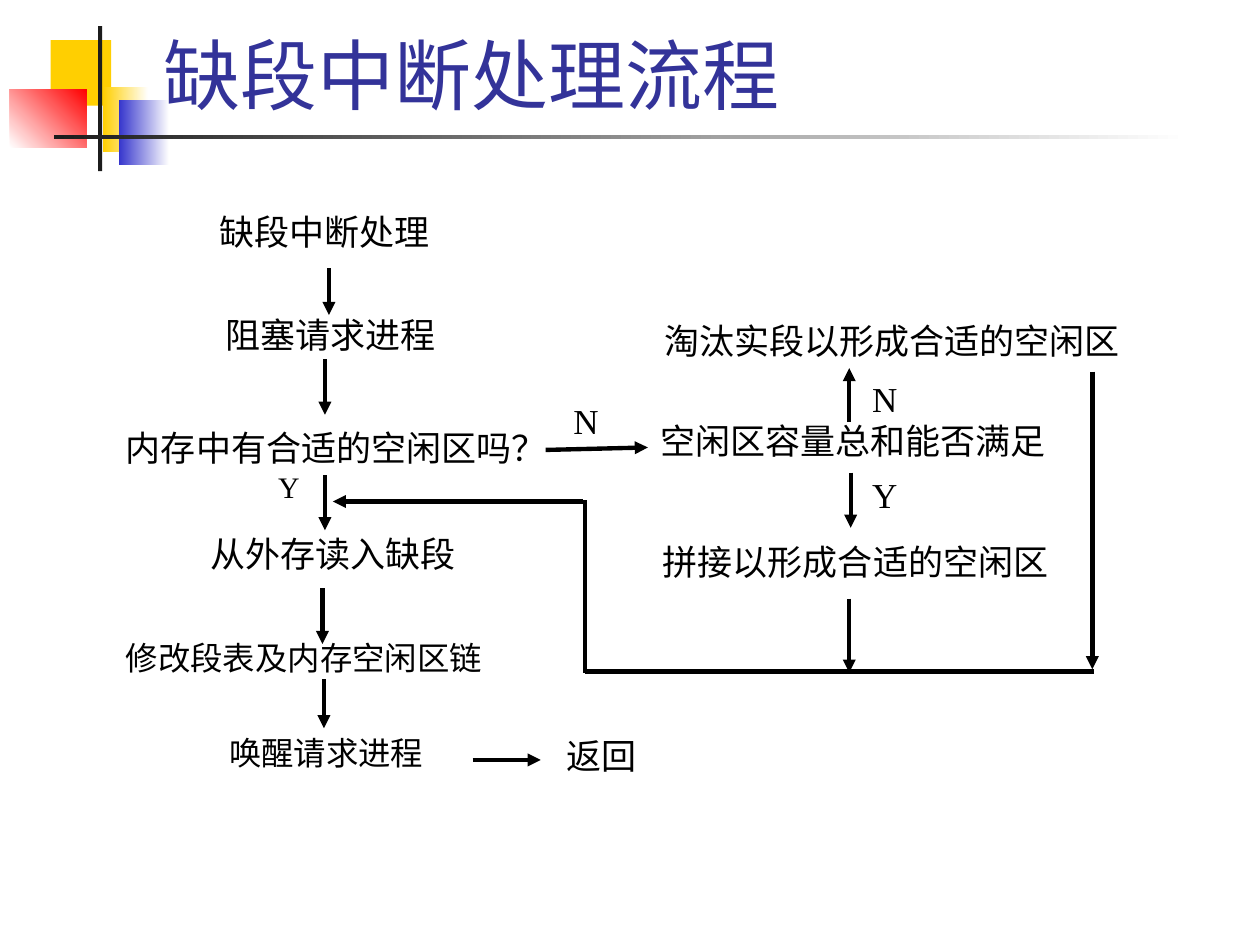
"""Build the slide showing how a missing-segment interrupt is handled."""
from dataclasses import dataclass

from pptx import Presentation
from pptx import util as u
from pptx.dml.color import RGBColor
from pptx.enum import shapes, text
from pptx.oxml import ns
from pptx.slide import Slide
from lxml import etree

BLACK = RGBColor(0x00, 0x00, 0x00)
WHITE = RGBColor(0xFF, 0xFF, 0xFF)
CHARCOAL = RGBColor(0x1C, 0x1C, 0x1C)
GOLD = RGBColor(0xFF, 0xCF, 0x01)
BLUE = RGBColor(0x33, 0x33, 0xCC)
RED = RGBColor(0xFF, 0x00, 0x00)
INDIGO = RGBColor(0x33, 0x33, 0x99)

ORNAMENTS = [
    ((1.02, 0.81, 1.22, 1.32), (GOLD,), 0),
    ((2.08, 1.75, 0.91, 1.32), (GOLD, WHITE), 0),
    ((2.39, 2.01, 1.02, 1.32), (BLUE, WHITE), 0),
    ((0.2, 1.8, 1.55, 1.17), (WHITE, RED), 45),
    ((1.98, 0.53, 0.08, 2.92), (CHARCOAL,), 0),
    ((1.09, 2.72, 22.86, 0.08), (CHARCOAL, WHITE), 0),
]

STEPS = [
    ("缺段中断处理", (4.42, 4.24, 5.33, 0.84)),
    ("阻塞请求进程", (4.55, 6.32, 5.21, 0.89)),
    ("内存中有合适的空闲区吗？", (2.54, 8.59, 9.96, 0.94)),
    ("从外存读入缺段", (4.24, 10.74, 5.92, 1.09)),
    ("返回", (11.43, 14.81, 2.11, 1.07)),
    ("淘汰实段以形成合适的空闲区", (13.39, 6.45, 9.47, 0.97)),
    ("空闲区容量总和能否满足", (13.31, 8.46, 8.08, 0.91)),
    ("拼接以形成合适的空闲区", (13.36, 10.9, 8.03, 0.97)),
    ("N", (11.56, 8.05, 0.94, 1.04)),
    ("N", (17.58, 7.62, 0.94, 1.12)),
    ("Y", (17.58, 9.55, 0.94, 1.04)),
]

TIGHT_STEPS = [
    ("修改段表及内存空闲区链", (2.54, 12.95, 8.26, 0.81), 18.5),
    ("唤醒请求进程", (4.62, 14.86, 5.33, 0.81), 18.5),
    ("Y", (5.61, 9.53, 0.69, 0.79), 17),
]

VERTICAL_ARROWS = [
    (6.63, 5.41, 6.35),
    (6.55, 7.24, 8.36),
    (6.55, 9.58, 10.69),
    (6.5, 11.86, 12.98),
    (6.53, 13.69, 14.68),
    (17.12, 8.51, 7.42),
    (17.15, 9.53, 10.64),
    (17.12, 12.07, 13.56),
    (22.02, 7.49, 13.49),
]

SIDE_ARROWS = [
    (11, 9.07, 13.06, 9.02),
    (9.53, 15.32, 10.9, 15.32),
    (11.76, 10.11, 6.71, 10.11),
]

RETURN_PATH = [
    (22.05, 13.54, 11.79, 13.54),
    (11.79, 10.08, 11.79, 13.56),
]


@dataclass
class FlowSlide:
    """Hold the slide and its style, and draw each kind of element."""
    page: Slide
    body_font: str = "Times New Roman"
    title_font: str = "Lato"
    line_width: float = 2.5

    def ornament(self, place, colors, angle):
        """Draw a borderless rectangle with a plain or gradient fill."""
        block = self.page.shapes.add_shape(
            shapes.MSO_SHAPE.RECTANGLE, *map(u.Cm, place))
        block.shadow.inherit = False
        block.line.fill.background()
        if len(colors) == 1:
            block.fill.solid()
            block.fill.fore_color.rgb = colors[0]
            return
        block.fill.gradient()
        block.fill.gradient_angle = angle
        for stop, color in zip(block.fill.gradient_stops, colors):
            stop.color.rgb = color

    def words(self, wording, place, size, font, color):
        """Add a one-paragraph text box and return it."""
        box = self.page.shapes.add_textbox(*map(u.Cm, place))
        box.text_frame.word_wrap = True
        para = box.text_frame.paragraphs[0]
        para.text = wording
        para.font.size = u.Pt(size)
        para.font.name = font
        para.font.color.rgb = color
        return box

    def title(self, wording, place):
        """Add the slide title, resting on the bottom of its box."""
        box = self.words(wording, place, 44, self.title_font, INDIGO)
        box.text_frame.vertical_anchor = text.MSO_ANCHOR.BOTTOM

    def step(self, wording, place, size=20, spacing=None):
        """Add a flow step or branch label without margins."""
        box = self.words(wording, place, size, self.body_font, BLACK)
        frame = box.text_frame
        frame.margin_left = frame.margin_right = 0
        frame.margin_top = frame.margin_bottom = 0
        para = frame.paragraphs[0]
        para.alignment = text.PP_ALIGN.JUSTIFY
        para.line_spacing = spacing

    def line(self, ends, arrow=True):
        """Draw a straight line, with an arrowhead at its end if wanted."""
        link = self.page.shapes.add_connector(
            shapes.MSO_CONNECTOR.STRAIGHT, *map(u.Cm, ends))
        link.line.width = u.Pt(self.line_width)
        link.line.color.rgb = BLACK
        properties = link.element.spPr
        if arrow:
            outline = properties.find(ns.qn("a:ln"))
            etree.SubElement(outline, ns.qn("a:tailEnd"), type="triangle")
        etree.SubElement(properties, ns.qn("a:effectLst"))


def main():
    """Build and save the deck."""
    deck = Presentation()
    deck.slide_width, deck.slide_height = u.Cm(25.4), u.Cm(19.05)
    flow = FlowSlide(deck.slides.add_slide(deck.slide_layouts[6]))

    for place, colors, angle in ORNAMENTS:
        flow.ornament(place, colors, angle)
    flow.title("缺段中断处理流程", (3.05, 0.43, 21.64, 2.11))
    for wording, place in STEPS:
        flow.step(wording, place)
    for wording, place, size in TIGHT_STEPS:
        flow.step(wording, place, size, spacing=0.9)
    for x, start, end in VERTICAL_ARROWS:
        flow.line((x, start, x, end))
    for ends in SIDE_ARROWS:
        flow.line(ends)
    for ends in RETURN_PATH:
        flow.line(ends, arrow=False)

    deck.save("out.pptx")


if __name__ == "__main__":
    main()
